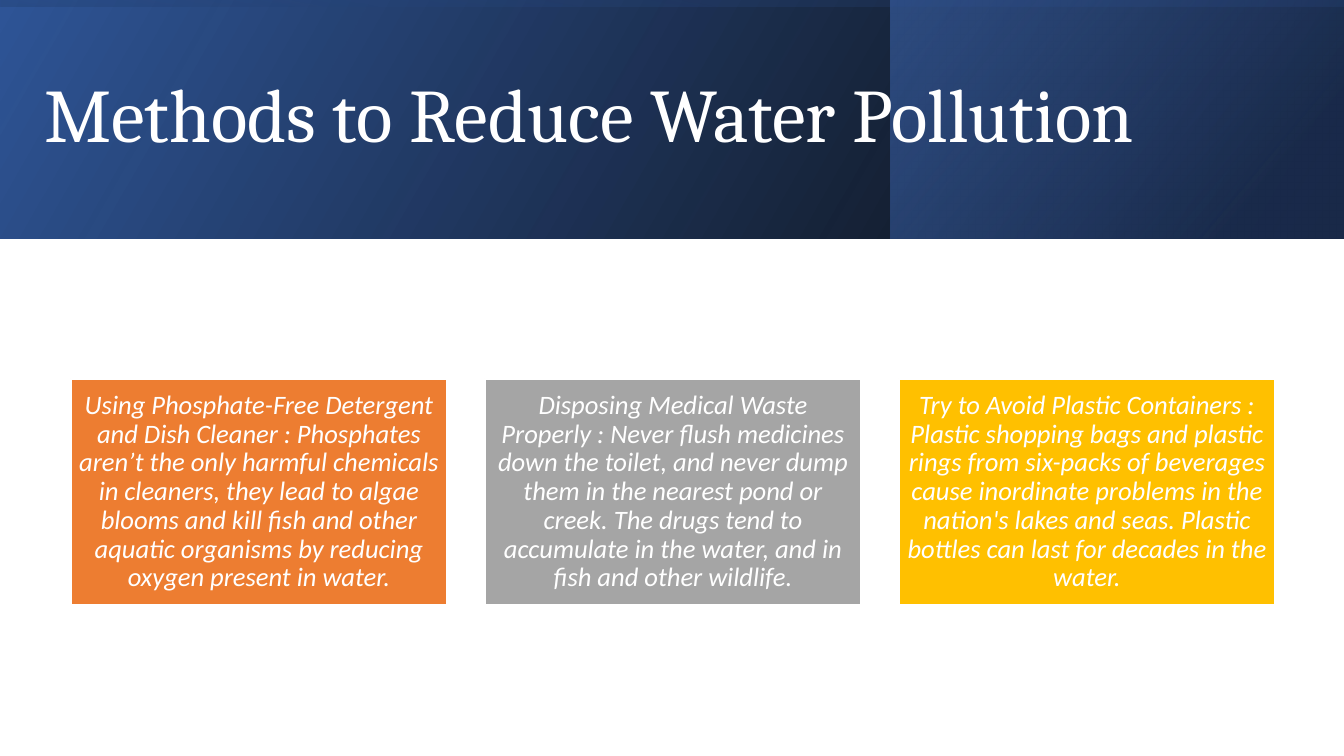
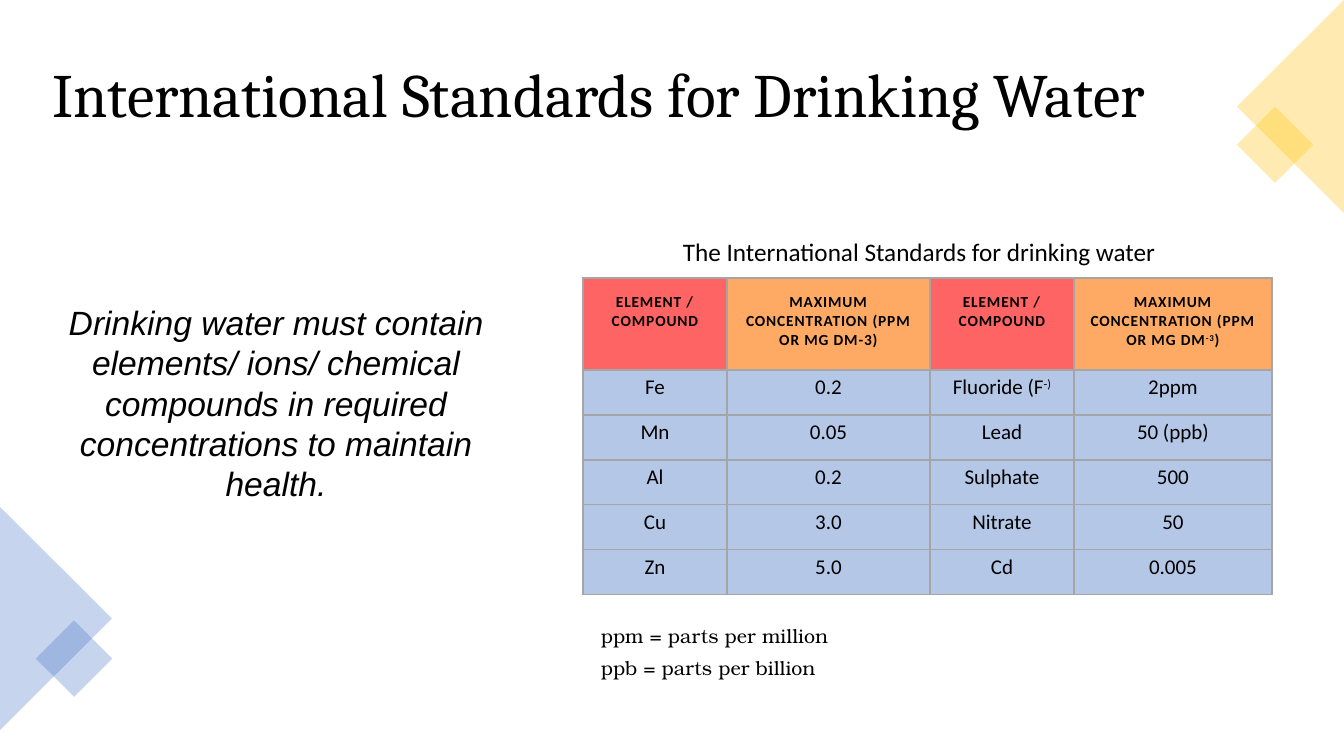
from lxml import etree
from pptx import Presentation
from pptx import util as u
from pptx.dml.color import RGBColor
from pptx.enum import shapes, text
from pptx.oxml import parse_xml
from pptx.oxml.ns import nsdecls, qn

PX = u.Inches(1) / 100.8
W, H = 1344, 756
BAND_H = 239
WHITE, BLACK, GREY = "FFFFFF", "000000", "A5A5A5"
BLUE, GOLD, ORANGE, PALE_BLUE = "4472C4", "FFC000", "ED7D31", "B4C7E7"
HEAD_RED, HEAD_ORANGE = "FF6464", "FFAA64"
CENTER, LEFT = text.PP_ALIGN.CENTER, text.PP_ALIGN.LEFT

CARDS = [
    (ORANGE, "Using Phosphate-Free Detergent and Dish Cleaner : Phosphates aren’t the only "
     "harmful chemicals in cleaners, they lead to algae blooms and kill fish and other "
     "aquatic organisms by reducing oxygen present in water."),
    (GREY, "Disposing Medical Waste Properly : Never flush medicines down the toilet, and "
     "never dump them in the nearest pond or creek. The drugs tend to accumulate in the "
     "water, and in fish and other wildlife."),
    (GOLD, "Try to Avoid Plastic Containers : Plastic shopping bags and plastic rings from "
     "six-packs of beverages cause inordinate problems in the nation's lakes and seas. "
     "Plastic bottles can last for decades in the water."),
]

# Text between two carets is superscript
STANDARDS = [
    ["ELEMENT / COMPOUND", "MAXIMUM CONCENTRATION (PPM OR MG DM-3)",
     "ELEMENT / COMPOUND", "MAXIMUM CONCENTRATION (PPM OR MG DM^-3^)"],
    ["Fe", "0.2", "Fluoride (F^-)^", "2ppm"],
    ["Mn", "0.05", "Lead", "50 (ppb)"],
    ["Al", "0.2", "Sulphate", "500"],
    ["Cu", "3.0", "Nitrate", "50"],
    ["Zn", "5.0", "Cd", "0.005"],
]


def px(n):
    return u.Emu(round(n * PX))


def box(*lengths):
    return [px(n) for n in lengths]


def rgb(color):
    return RGBColor.from_string(color)


def style_font(font, name, size, color, bold=False, italic=False):
    font.name, font.size, font.color.rgb = name, u.Pt(size), rgb(color)
    font.bold, font.italic = bold, italic


def set_margins(target, left, top, right, bottom):
    target.margin_left, target.margin_top = px(left), px(top)
    target.margin_right, target.margin_bottom = px(right), px(bottom)


def add_plain_shape(s, kind, x, y, w, h, rotation=0):
    sp = s.shapes.add_shape(kind, *box(x, y, w, h))
    sp.rotation = rotation
    sp.shadow.inherit = False
    sp.line.fill.background()
    return sp


def fill_solid(sp, color, opacity=100):
    sp.fill.solid()
    sp.fill.fore_color.rgb = rgb(color)
    if opacity < 100:
        clr = sp._element.spPr.find(".//" + qn("a:srgbClr"))
        etree.SubElement(clr, qn("a:alpha")).set("val", str(opacity * 1000))


def fill_gradient(sp, angle, stops):
    """Fill with (position, colour, opacity) stops, in percent, mirrored left to right."""
    gs = "".join(
        f'<a:gs pos="{pos * 1000}"><a:srgbClr val="{color}">'
        f'<a:alpha val="{opacity * 1000}"/></a:srgbClr></a:gs>'
        for pos, color, opacity in stops)
    grad = parse_xml(
        f'<a:gradFill {nsdecls("a")} rotWithShape="1"><a:gsLst>{gs}</a:gsLst>'
        f'<a:lin ang="{angle * 60000}" scaled="0"/></a:gradFill>')
    sp_pr = sp._element.spPr
    sp_pr.find(qn("a:prstGeom")).addnext(grad)
    sp_pr.find(qn("a:xfrm")).set("flipH", "1")


def place_title(s, title, x, y, w, h, size, color):
    sp = s.shapes.title
    s.shapes._spTree.append(sp._element)  # in front of the band
    sp.left, sp.top, sp.width, sp.height = box(x, y, w, h)
    tf = sp.text_frame
    tf.text = title
    tf.auto_size = text.MSO_AUTO_SIZE.NONE
    tf.vertical_anchor = text.MSO_ANCHOR.MIDDLE
    p = tf.paragraphs[0]
    p.alignment, p.line_spacing = LEFT, 0.9
    style_font(p.runs[0].font, "Cambria", size, color)


def add_text(s, lines, x, y, w, h, name, size, align=LEFT, italic=False):
    tf = s.shapes.add_textbox(*box(x, y, w, h)).text_frame
    tf.word_wrap = True
    tf.text = lines
    for p in tf.paragraphs:
        p.alignment, p.space_after = align, u.Pt(6)
        style_font(p.runs[0].font, name, size, BLACK, italic=italic)


def add_band(s, x, y, w, h):
    rect = shapes.MSO_SHAPE.RECTANGLE
    fill_gradient(add_plain_shape(s, rect, x, y, w, h), 330,
                  [(0, BLACK, 96), (100, "2F5597", 100)])
    side = w // 3 + 4
    fill_gradient(add_plain_shape(s, rect, x + w - side - 1, y, side, h), 320,
                  [(19, "203864", 68), (100, BLUE, 48)])
    upright = x + (w - h) / 2, y + (h - w) / 2, h, w
    fill_gradient(add_plain_shape(s, rect, *upright, rotation=270), 350,
                  [(23, "2F5597", 16), (99, BLACK, 45)])


def add_cards(s, x, y, w, h, gap):
    card_w = (w - gap * (len(CARDS) - 1)) / len(CARDS)
    for i, (color, words) in enumerate(CARDS):
        sp = add_plain_shape(s, shapes.MSO_SHAPE.RECTANGLE,
                             x + i * (card_w + gap), y, card_w, h)
        fill_solid(sp, color)
        sp.line.color.rgb, sp.line.width = rgb(WHITE), u.Pt(1)
        tf = sp.text_frame
        tf.word_wrap = True
        tf.vertical_anchor = text.MSO_ANCHOR.MIDDLE
        set_margins(tf, 8, 8, 8, 8)
        tf.text = words
        p = tf.paragraphs[0]
        p.alignment, p.line_spacing = CENTER, 0.9
        style_font(p.runs[0].font, "Calibri", 19, WHITE, italic=True)


def add_corner_accent(s, x, y, w, h, color, points_right):
    """Triangle filling the box, with a small diamond touching the line of its tip."""
    tri = add_plain_shape(s, shapes.MSO_SHAPE.ISOSCELES_TRIANGLE,
                          x + (w - h) / 2, y + (h - w) / 2, h, w,
                          rotation=90 if points_right else 270)
    side, half_diagonal = 54, 38
    cx = x + w - half_diagonal if points_right else x + half_diagonal
    cy = y + 0.68 * h
    diamond = add_plain_shape(s, shapes.MSO_SHAPE.RECTANGLE,
                              cx - side / 2, cy - side / 2, side, side, rotation=45)
    for sp in (tri, diamond):
        fill_solid(sp, color, 30)


def set_borders(cell, bottom=1):
    tc_pr = cell._tc.get_or_add_tcPr()
    for i, (edge, width) in enumerate(zip("LRTB", (1, 1, 1, bottom))):
        tc_pr.insert(i, parse_xml(
            f'<a:ln{edge} {nsdecls("a")} w="{u.Pt(width)}"><a:solidFill>'
            f'<a:srgbClr val="{GREY}"/></a:solidFill></a:ln{edge}>'))


def fill_cell(cell, words, is_head, color):
    set_margins(cell, *((15, 15, 15, 15) if is_head else (10, 5, 10, 10)))
    cell.fill.solid()
    cell.fill.fore_color.rgb = rgb(color)
    p = cell.text_frame.paragraphs[0]
    p.alignment = CENTER
    for i, part in enumerate(words.split("^")):
        if not part:
            continue
        r = p.add_run()
        r.text = part
        style_font(r.font, "Calibri", 11 if is_head else 15, BLACK, bold=is_head)
        if is_head:
            r.font._element.set("spc", "60")
        if i % 2:
            r.font._element.set("baseline", "30000")
    set_borders(cell, bottom=2 if is_head else 1)


def add_standards_table(s, x, y, col_widths, head_h, row_h):
    heights = [head_h] + [row_h] * (len(STANDARDS) - 1)
    tbl = s.shapes.add_table(len(heights), len(col_widths),
                             *box(x, y, sum(col_widths), sum(heights))).table
    tbl.first_row = tbl.horz_banding = False
    for col, width in zip(tbl.columns, col_widths):
        col.width = px(width)
    for i, (row, height) in enumerate(zip(tbl.rows, heights)):
        row.height = px(height)
        for j, words in enumerate(STANDARDS[i]):
            head_color = HEAD_ORANGE if j % 2 else HEAD_RED
            fill_cell(tbl.cell(i, j), words, i == 0, PALE_BLUE if i else head_color)


def build_methods(s):
    add_band(s, 0, 0, W, BAND_H)
    place_title(s, "Methods to Reduce Water Pollution", 34, 32, 1322, 173, 54, WHITE)
    add_cards(s, 71, 379, 1204, 226, 38)


def build_standards(s):
    place_title(s, "International Standards for Drinking Water", 42, 35, 1345, 125, 44, BLACK)
    add_corner_accent(s, 0, 507, 112, 223, BLUE, points_right=True)
    add_corner_accent(s, W - 107, 0, 107, 213, GOLD, points_right=False)
    add_text(s, "The International Standards for drinking water",
             673, 231, 509, 40, "Calibri", 18)
    add_text(s, "ppm = parts per million\nppb = parts per billion",
             591, 619, 302, 67, "TeX Gyre Bonum", 14)
    add_text(s, "Drinking water must contain elements/ ions/ chemical compounds in "
             "required concentrations to maintain health.",
             26, 297, 500, 214, "Arial", 24, CENTER, italic=True)
    add_standards_table(s, 583, 278, [144, 203, 144, 198], 92, 45)


def main():
    prs = Presentation()
    prs.slide_width, prs.slide_height = box(W, H)
    for build in (build_methods, build_standards):
        build(prs.slides.add_slide(prs.slide_layouts[5]))
    prs.save("out.pptx")


if __name__ == "__main__":
    main()
